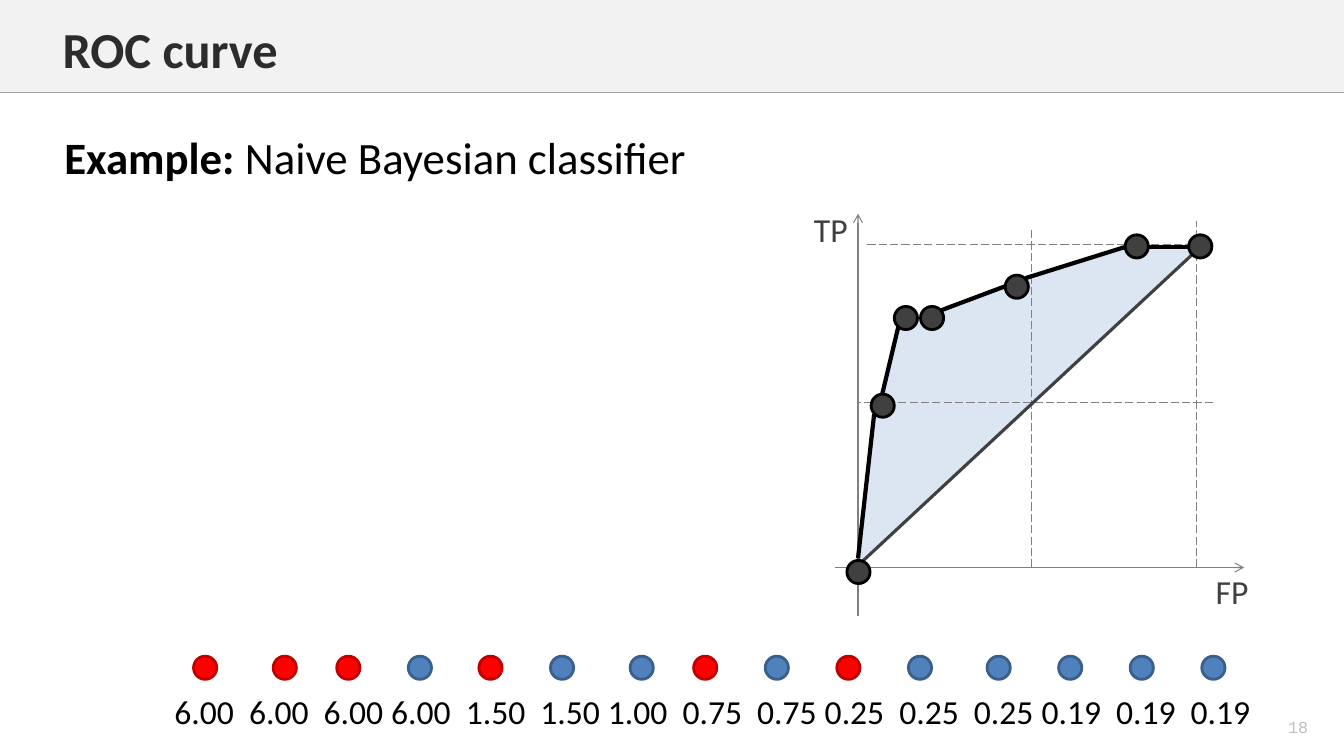
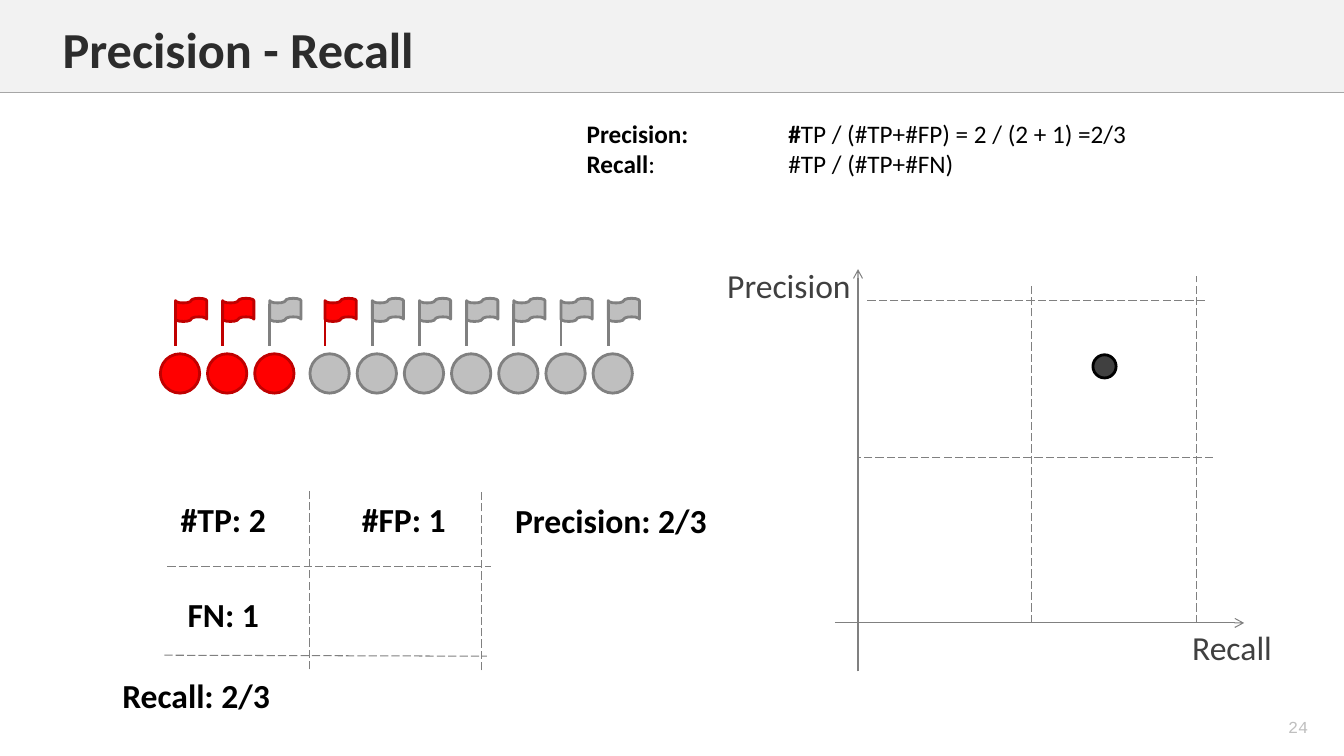
from lxml import etree
from pptx import Presentation
from pptx.dml.color import RGBColor
from pptx.enum.dml import MSO_LINE
from pptx.enum.shapes import MSO_CONNECTOR, MSO_SHAPE
from pptx.enum.text import MSO_ANCHOR, PP_ALIGN
from pptx.oxml.ns import qn
from pptx.util import Inches, Pt

RECT, DOT, TAPE = (MSO_SHAPE.RECTANGLE, MSO_SHAPE.FLOWCHART_CONNECTOR,
                   MSO_SHAPE.FLOWCHART_PUNCHED_TAPE)
STRAIGHT, LONG_DASH = MSO_CONNECTOR.STRAIGHT, MSO_LINE.LONG_DASH
LEFT, CENTER = PP_ALIGN.LEFT, PP_ALIGN.CENTER
TOP, MIDDLE = MSO_ANCHOR.TOP, MSO_ANCHOR.MIDDLE

COLORS = {
    "band": "F2F2F2", "band_line": "A6A6A6", "title": "2C2C2C", "number": "BFBFBF",
    "text": "000000", "label": "404040", "grid": "808080", "area": "DCE6F2",
    "red": "FF0000", "red_line": "C00000", "blue": "4F81BD", "blue_line": "3A5F8C",
    "gray": "BFBFBF", "gray_line": "808080", "marker": "404040", "marker_line": "000000",
}

# Content of the ROC slide
EXAMPLE = [[("Example: ", True), ("Naive Bayesian classifier", False)]]
SAMPLES = [  # dot left edge, class colour, score
    (1.92, "red", "6.00"), (2.71, "red", "6.00"), (3.34, "red", "6.00"),
    (4.05, "blue", "6.00"), (4.75, "red", "1.50"), (5.46, "blue", "1.50"),
    (6.25, "blue", "1.00"), (6.88, "red", "0.75"), (7.59, "blue", "0.75"),
    (8.30, "red", "0.25"), (9.01, "blue", "0.25"), (9.79, "blue", "0.25"),
    (10.50, "blue", "0.19"), (11.21, "blue", "0.19"), (11.92, "blue", "0.19"),
]
ROC_MARKERS = [(8.40, 5.56), (8.64, 3.91), (8.87, 3.04), (9.13, 3.04),
               (9.97, 2.73), (11.16, 2.33), (11.79, 2.33)]
ROC_SEGMENTS = [((8.51, 5.54), (8.67, 4.11)), ((8.75, 3.91), (8.91, 3.24)),
                ((9.33, 3.08), (9.97, 2.84)), ((10.17, 2.76), (11.16, 2.45)),
                ((11.39, 2.45), (11.79, 2.45))]
DIAGONAL = ((11.82, 2.53), (8.51, 5.61))

# Content of the precision and recall slide
FORMULAS = [
    [("Precision:\t#", True), ("TP / (#TP+#FP) = 2 / (2 + 1) =2/3", False)],
    [("Recall", True), (":\t#TP / (#TP+#FN)", False)],
]
POSITIVES = {0, 1, 2}
FLAGGED = {0, 1, 3}
ITEM_COUNT = 10
COUNTS = [  # text, left, top, width
    ("#TP: 2", 1.51, 4.76, 1.41), ("#FP: 1", 3.30, 4.76, 1.41),
    ("FN: 1", 1.51, 5.70, 1.41), ("Precision: 2/3", 4.78, 4.77, 2.56),
    ("Recall: 2/3", 0.92, 6.51, 2.05),
]
COUNT_GRID = [((3.07, 6.64), (3.07, 4.84)), ((4.78, 6.65), (4.78, 4.85)),
              ((1.66, 5.62), (4.87, 5.62)), ((1.63, 6.50), (4.83, 6.51))]

# Plot frame, placed as on the ROC slide
AXES = [((8.28, 5.63), (12.34, 5.63)), ((8.51, 6.11), (8.51, 2.12))]
PLOT_GRID = [((10.23, 5.63), (10.23, 2.27)), ((11.87, 5.63), (11.87, 2.19)),
             ((11.95, 2.43), (8.59, 2.43)), ((12.03, 3.99), (8.51, 3.99))]
Y_LABEL_RIGHT = 8.75
MARKER_SIZE = 0.23


def rgb(name):
    return RGBColor.from_string(COLORS[name])


def box(left, top, width, height):
    return [Inches(value) for value in (left, top, width, height)]


def style_shape(shape, fill, line=None):
    shape.shadow.inherit = False
    shape.fill.solid()
    shape.fill.fore_color.rgb = rgb(fill)
    if line:
        shape.line.color.rgb = rgb(line)
        shape.line.width = Pt(2)
    else:
        shape.line.fill.background()
    return shape


def add_shape(slide, kind, bounds, fill, line=None):
    return style_shape(slide.shapes.add_shape(kind, *box(*bounds)), fill, line)


def add_dot(slide, left, top, color, size=MARKER_SIZE):
    add_shape(slide, DOT, (left, top, size, size), color, color + "_line")


def add_line(slide, start, end, color="grid", width=0.75, dash=None, arrow=False):
    line = slide.shapes.add_connector(
        STRAIGHT, *[Inches(value) for value in (*start, *end)])
    line.line.color.rgb = rgb(color)
    line.line.width = Pt(width)
    if dash:
        line.line.dash_style = dash
    properties = line._element.spPr
    if arrow:
        etree.SubElement(properties.find(qn("a:ln")), qn("a:tailEnd"), type="arrow")
    etree.SubElement(properties, qn("a:effectLst"))
    return line


def fill_text(frame, paragraphs, size, color="text", font="Calibri",
              align=LEFT, anchor=TOP, inset=None):
    frame.word_wrap = True
    frame.vertical_anchor = anchor
    if inset is not None:
        frame.margin_left = frame.margin_right = Inches(inset)
        frame.margin_top = frame.margin_bottom = Inches(inset)
    for index, runs in enumerate(paragraphs):
        paragraph = frame.add_paragraph() if index else frame.paragraphs[0]
        paragraph.alignment = align
        for text, bold in runs:
            run = paragraph.add_run()
            run.text = text
            run.font.size = Pt(size)
            run.font.bold = bold
            run.font.name = font
            run.font.color.rgb = rgb(color)


def add_text(slide, bounds, paragraphs, size, **options):
    frame = slide.shapes.add_textbox(*box(*bounds)).text_frame
    fill_text(frame, paragraphs, size, **options)
    return frame


def add_label(slide, bounds, text, bold=False, color="text", align=CENTER):
    add_text(slide, bounds, [[(text, bold)]], 24, color=color, align=align,
             anchor=MIDDLE, inset=0)


def add_layout_band(slide, layout):
    """Draw the title band once, then move it to the layout behind everything."""
    band = add_shape(slide, RECT, (0, 0, 13.33, 0.92), "band")
    rule = add_line(slide, (0, 0.92), (13.33, 0.92), "band_line", 1)
    for position, part in enumerate((band, rule)):
        layout.shapes._spTree.insert(2 + position, part._element)


def add_slide(presentation, layout, title, number):
    slide = presentation.slides.add_slide(layout)
    heading = slide.shapes.title
    heading.left, heading.top, heading.width, heading.height = box(0.52, 0.13, 11.89, 0.71)
    fill_text(heading.text_frame, [[(title, True)]], 36, color="title")
    add_text(slide, (12.44, 7.06, 0.87, 0.31), [[(number, False)]], 12,
             color="number", font="Courier New", align=CENTER, anchor=MIDDLE)
    return slide


def add_plot_frame(slide, x_label, y_label, y_label_width, shift=0):
    def lower(point):
        return point[0], point[1] + shift

    for start, end in AXES:
        add_line(slide, lower(start), lower(end), arrow=True)
    for start, end in PLOT_GRID:
        add_line(slide, lower(start), lower(end), dash=LONG_DASH)
    add_label(slide, (11.71, 5.71 + shift, 1.02, 0.31), x_label, color="label")
    add_label(slide, (Y_LABEL_RIGHT - y_label_width, 2.12 + shift, y_label_width, 0.31),
              y_label, color="label")


def build_roc(slide):
    add_text(slide, (0.54, 1.24, 8.5, 0.64), EXAMPLE, 32)

    # Area between the curve and the diagonal
    outline = [point for segment in ROC_SEGMENTS for point in segment] + list(DIAGONAL)
    corners = [(Inches(x), Inches(y)) for x, y in outline]
    builder = slide.shapes.build_freeform(*corners[0])
    builder.add_line_segments(corners[1:], close=True)
    style_shape(builder.convert_to_shape(), "area")

    # Frame, curve and markers
    add_plot_frame(slide, "FP", "TP", 1.02)
    add_line(slide, *DIAGONAL, color="label", width=2.25)
    for start, end in ROC_SEGMENTS:
        add_line(slide, start, end, "text", 3)
    for left, top in ROC_MARKERS:
        add_dot(slide, left, top, "marker")

    # Samples, with scores set in groups of three
    for index, (left, color, score) in enumerate(SAMPLES):
        add_dot(slide, left, 6.51, color)
        group, member = divmod(index, 3)
        add_label(slide, (1.73 + 2.15 * group + 0.74 * member, 6.78, 0.65, 0.55),
                  score, align=LEFT)


def build_precision_recall(slide):
    # Formulas in two columns
    frame = add_text(slide, (5.72, 1.12, 6.69, 0.71), FORMULAS, 18)
    for paragraph in frame.paragraphs:
        stops = etree.SubElement(paragraph._p.get_or_add_pPr(), qn("a:tabLst"))
        etree.SubElement(stops, qn("a:tab"), pos=str(Inches(2)), algn="l")

    # Items with flags; a wider gap follows the positives
    for index in range(ITEM_COUNT):
        left = 1.59 + 0.468 * index + (0 if index in POSITIVES else 0.08)
        add_dot(slide, left, 3.51, "red" if index in POSITIVES else "gray", 0.39)
        flag = "red" if index in FLAGGED else "gray"
        pole = left + 0.15
        add_shape(slide, TAPE, (pole, 2.96, 0.31, 0.23), flag, flag + "_line")
        add_line(slide, (pole, 3.02), (pole, 3.43), flag + "_line", 2)

    # Counts
    for start, end in COUNT_GRID:
        add_line(slide, start, end, dash=LONG_DASH)
    for text, left, top, width in COUNTS:
        add_label(slide, (left, top, width, 0.78), text, bold=True)

    # Plot
    add_plot_frame(slide, "Recall", "Precision", 1.85, shift=0.55)
    add_dot(slide, 10.84, 3.52, "marker")


def main():
    presentation = Presentation()
    presentation.slide_width, presentation.slide_height = Inches(13.33), Inches(7.5)
    layout = presentation.slide_layouts.get_by_name("Title Only")
    roc = add_slide(presentation, layout, "ROC curve", "18")
    add_layout_band(roc, layout)
    build_roc(roc)
    build_precision_recall(add_slide(presentation, layout, "Precision - Recall", "24"))
    presentation.save("out.pptx")


if __name__ == "__main__":
    main()
